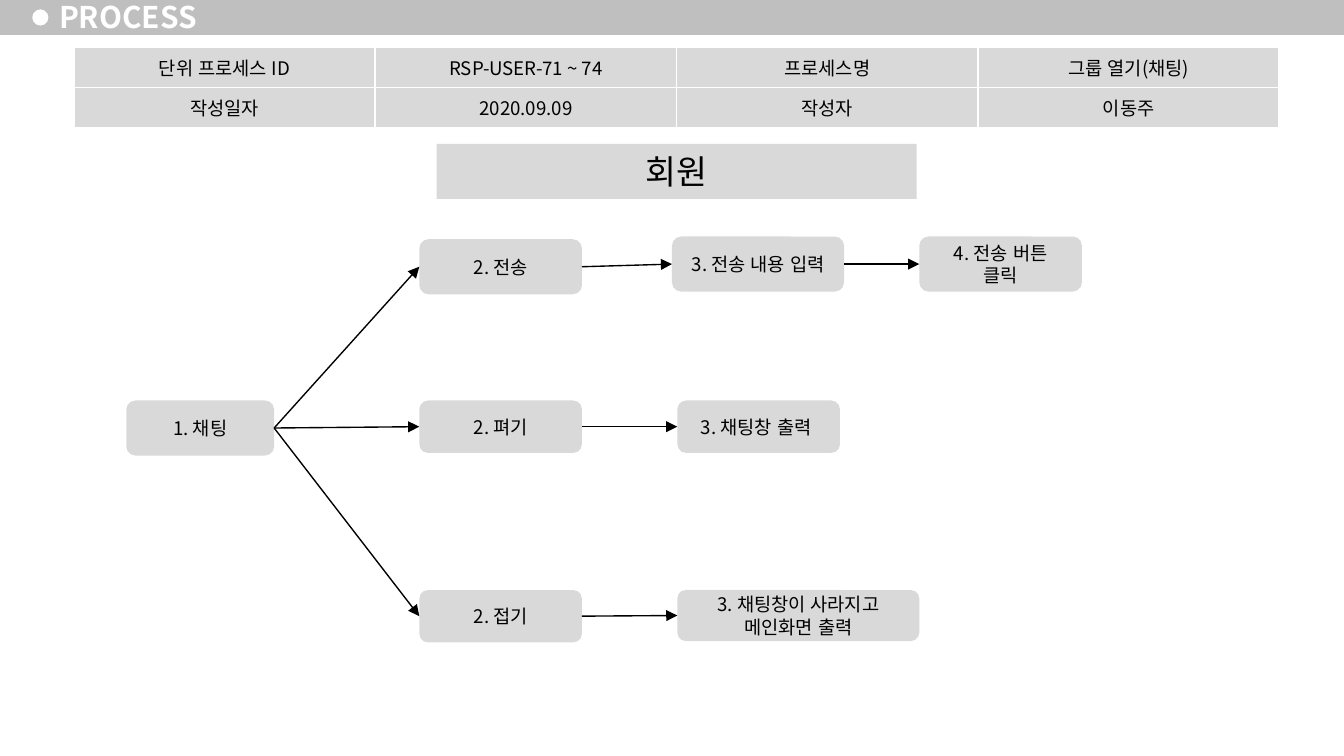
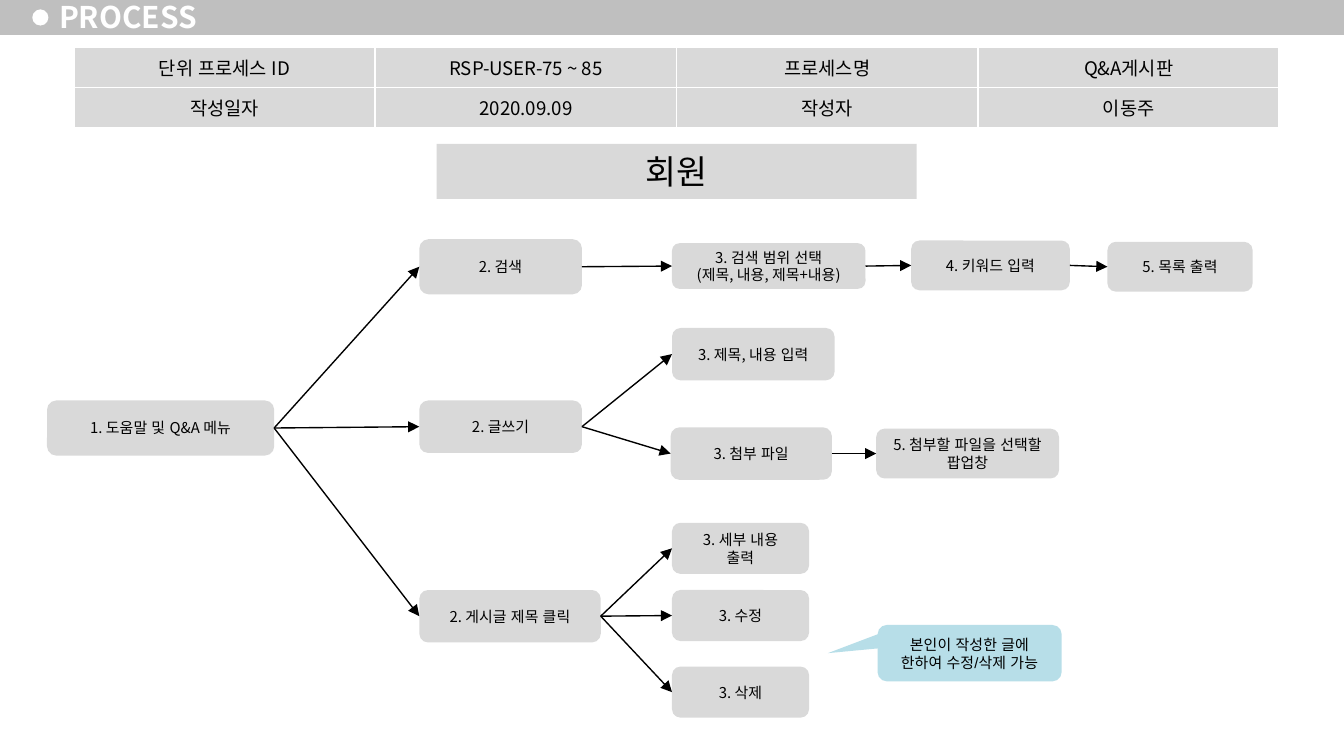
from lxml.etree import SubElement
from pptx import Presentation
from pptx.dml.color import RGBColor
from pptx.enum.lang import MSO_LANGUAGE_ID as LANG
from pptx.enum.shapes import MSO_CONNECTOR, MSO_SHAPE as SHAPE
from pptx.enum.text import MSO_ANCHOR as ANCHOR, MSO_AUTO_SIZE, PP_ALIGN as ALIGN
from pptx.oxml.ns import qn
from pptx.util import Inches, Pt

# Shared look
WHITE = RGBColor(0xFF, 0xFF, 0xFF)
BLACK = RGBColor(0x00, 0x00, 0x00)
BAND = RGBColor(0xBF, 0xBF, 0xBF)
BOX = RGBColor(0xD9, 0xD9, 0xD9)
NOTE = RGBColor(0xB7, 0xDE, 0xE8)
FONT = "Noto Sans CJK KR"
LEFT, RIGHT = 1, 3  # connection sites of a box

# Steps: key -> (text, left, top, width, height)
CHAT_STEPS = {
    "chat": ("1. 채팅", 0.94, 2.98, 1.1, 0.41),
    "send": ("2. 전송", 3.12, 1.78, 1.21, 0.41),
    "type": ("3. 전송 내용 입력", 5, 1.76, 1.28, 0.41),
    "click": ("4. 전송 버튼 클릭", 6.84, 1.76, 1.21, 0.41),
    "open": ("2. 펴기", 3.12, 2.98, 1.21, 0.39),
    "fold": ("2. 접기", 3.12, 4.39, 1.21, 0.39),
    "window": ("3. 채팅창 출력 ", 5.04, 2.98, 1.21, 0.39),
    "main": ("3. 채팅창이 사라지고 메인화면 출력", 5.04, 4.39, 1.8, 0.38),
}
CHAT_PATHS = ["chat send type click", "chat open window", "chat fold main"]

BOARD_STEPS = {
    "menu": ("1. 도움말 및 Q&A 메뉴", 0.35, 2.98, 1.69, 0.41),
    "search": ("2. 검색", 3.12, 1.78, 1.21, 0.41),
    "write": ("2. 글쓰기", 3.12, 2.98, 1.21, 0.39),
    "post": ("2. 게시글 제목 클릭", 3.12, 4.39, 1.35, 0.39),
    "scope": ("3. 검색 범위 선택\n(제목, 내용, 제목+내용)", 5, 1.81, 1.44, 0.34),
    "keyword": ("4. 키워드 입력", 6.78, 1.79, 1.18, 0.37),
    "list": ("5. 목록 출력", 8.24, 1.8, 1.08, 0.37),
    "content": ("3. 제목, 내용 입력", 5, 2.44, 1.21, 0.39),
    "attach": ("3. 첨부 파일", 4.99, 3.18, 1.2, 0.39),
    "popup": ("5. 첨부할 파일을 선택할 팝업창", 6.52, 3.19, 1.36, 0.37),
    "detail": ("3. 세부 내용 출력", 5, 3.89, 1.02, 0.38),
    "edit": ("3. 수정", 5, 4.39, 1.02, 0.38),
    "delete": ("3. 삭제", 5, 4.96, 1.02, 0.38),
}
BOARD_PATHS = ["menu search scope keyword list", "menu write content",
               "write attach popup", "menu post detail", "post edit",
               "post delete"]


def put_text(tf, text, size=10, color=BLACK, font=FONT, bold=False,
             align=ALIGN.CENTER, anchor=ANCHOR.MIDDLE):
    """Fill a text frame, one paragraph per line."""
    tf.word_wrap = True
    tf.vertical_anchor = anchor
    for i, line in enumerate(text.split("\n")):
        p = tf.paragraphs[0] if i == 0 else tf.add_paragraph()
        p.alignment = align
        r = p.add_run()
        r.text = line
        f = r.font
        f.size, f.bold, f.name = Pt(size), bold, font
        f.color.rgb = color
        f.language_id = LANG.KOREAN
        # Same face for the Korean letters
        props = r._r.get_or_add_rPr()
        east_asian = SubElement(props, qn("a:ea"), typeface=font)
        props.find(qn("a:latin")).addnext(east_asian)


def add_box(s, kind, left, top, width, height, fill, text="", **fmt):
    sp = s.shapes.add_shape(kind, Inches(left), Inches(top),
                            Inches(width), Inches(height))
    sp.shadow.inherit = False
    sp.fill.solid()
    sp.fill.fore_color.rgb = fill
    sp.line.fill.background()
    if text:
        put_text(sp.text_frame, text, **fmt)
    return sp


def add_arrow(s, start, end):
    c = s.shapes.add_connector(MSO_CONNECTOR.STRAIGHT, 0, 0, 0, 0)
    c.begin_connect(start, RIGHT)
    c.end_connect(end, LEFT)
    c.line.color.rgb = BLACK
    c.line.width = Pt(0.75)
    props = c.element.spPr
    SubElement(props.find(qn("a:ln")), qn("a:tailEnd"), type="triangle")
    SubElement(props, qn("a:effectLst"))


def set_borders(cell):
    props = cell._tc.get_or_add_tcPr()
    for i, side in enumerate(("lnL", "lnR", "lnT", "lnB")):
        ln = SubElement(props, qn("a:" + side), w=str(Pt(1)))
        fill = SubElement(ln, qn("a:solidFill"))
        SubElement(fill, qn("a:srgbClr"), val=str(WHITE))
        props.insert(i, ln)


def add_info_table(s, rows):
    tbl = s.shapes.add_table(2, 4, Inches(0.55), Inches(0.35),
                             Inches(8.97), Inches(0.56)).table
    tbl.first_row = tbl.horz_banding = False
    for y, row in enumerate(rows):
        for x, text in enumerate(row):
            cell = tbl.cell(y, x)
            cell.fill.solid()
            cell.fill.fore_color.rgb = BOX
            set_borders(cell)
            put_text(cell.text_frame, text)
            cell.vertical_anchor = ANCHOR.MIDDLE


def add_flow(s, steps, paths, size):
    """Draw the steps, then join each path's neighbours with arrows."""
    boxes = {key: add_box(s, SHAPE.ROUNDED_RECTANGLE, *place, BOX, text,
                          size=size)
             for key, (text, *place) in steps.items()}
    for names in map(str.split, paths):
        for start, end in zip(names, names[1:]):
            add_arrow(s, boxes[start], boxes[end])


def set_up_layout(prs, layout):
    """Give the layout the header band, its dot and the title position."""
    title = layout.placeholders[0]
    title.left, title.top = Inches(0.35), Inches(-0.04)
    title.width, title.height = Inches(1.22), Inches(0.32)
    s = prs.slides[0]
    band = add_box(s, SHAPE.RECTANGLE, 0, -0.02, 10, 0.28, BAND)
    dot = add_box(s, SHAPE.OVAL, 0.24, 0.07, 0.12, 0.12, WHITE)
    for i, sp in enumerate((band, dot)):
        layout.shapes.element.insert(2 + i, sp.element)


def add_process_slide(s, process_id, name, steps, paths, size):
    tf = s.shapes.title.text_frame
    tf.auto_size = MSO_AUTO_SIZE.NONE
    tf.margin_left = tf.margin_right = Inches(0.09)
    tf.margin_top = tf.margin_bottom = Inches(0.04)
    put_text(tf, "PROCESS", size=16, color=WHITE, bold=True, align=ALIGN.LEFT)
    add_box(s, SHAPE.RECTANGLE, 3.25, 1.07, 3.57, 0.41, BOX, "회원",
            size=18, anchor=ANCHOR.TOP)
    add_info_table(s, [
        ("단위 프로세스 ID", process_id, "프로세스명", name),
        ("작성일자", "2020.09.09", "작성자", "이동주"),
    ])
    add_flow(s, steps, paths, size)


def main():
    prs = Presentation()
    prs.slide_width = Inches(10)
    prs.slide_height = Inches(10 * 9 / 16)  # widescreen
    layout = prs.slide_layouts[5]
    chat, board = [prs.slides.add_slide(layout) for _ in range(2)]
    set_up_layout(prs, layout)

    # Group chat
    add_process_slide(chat, "RSP-USER-71 ~ 74", "그룹 열기(채팅)",
                      CHAT_STEPS, CHAT_PATHS, 10)

    # Q&A board, with a note on who may edit
    add_process_slide(board, "RSP-USER-75 ~ 85", "Q&A게시판",
                      BOARD_STEPS, BOARD_PATHS, 8)
    note = add_box(board, SHAPE.ROUNDED_RECTANGULAR_CALLOUT,
                   6.53, 4.65, 1.37, 0.42, NOTE,
                   "본인이 작성한 글에 한하여 수정/삭제 가능",
                   size=8, font="Arial")
    note.adjustments[0], note.adjustments[1] = -0.77, 0

    prs.save("out.pptx")


main()
